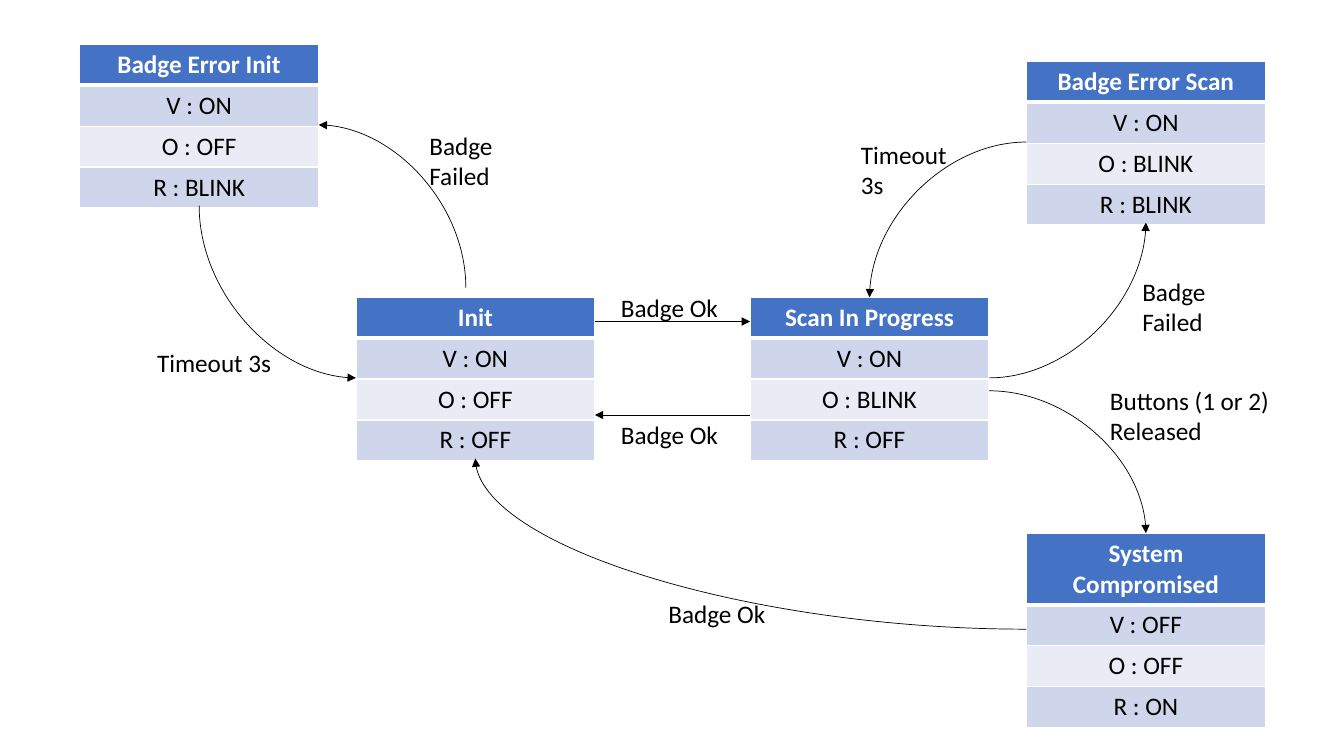
"""Build a slide with the state diagram of a badge-controlled system."""
from lxml import etree
from pptx import Presentation
from pptx.dml.color import RGBColor
from pptx.enum.shapes import MSO_CONNECTOR
from pptx.enum.text import MSO_ANCHOR, MSO_AUTO_SIZE, PP_ALIGN
from pptx.oxml.ns import qn
from pptx.util import Inches, Pt

STRAIGHT, CURVE = MSO_CONNECTOR.STRAIGHT, MSO_CONNECTOR.CURVE
CENTER, LEFT = PP_ALIGN.CENTER, PP_ALIGN.LEFT
TOP, FIT_SHAPE = MSO_ANCHOR.TOP, MSO_AUTO_SIZE.SHAPE_TO_FIT_TEXT
COLORS = {"header": "4472C4", "band": "CFD5EA", "light": "E9EBF5",
          "white": "FFFFFF", "black": "000000"}
STATE_WIDTH, ROW, TWO_LINES = 17.78, 5.33, 9.4
RIGHT_COLUMN, MIDDLE_TOP = 76.37, 39.33


class Diagram:
    """Style and current slide; lengths are percentages of the slide size."""

    def __init__(self, deck):
        self.deck = deck
        self.slide = deck.slides.add_slide(deck.slide_layouts[6])
        self.font, self.size = "Calibri", Pt(18)
        self.frames = {}

    def x(self, share):
        return round(self.deck.slide_width * share / 100)

    def y(self, share):
        return round(self.deck.slide_height * share / 100)

    def add_text(self, frame, text, color="black", align=LEFT, bold=False):
        paragraph = frame.paragraphs[0]
        paragraph.alignment = align
        run = paragraph.add_run()
        run.text = text
        run.font.name, run.font.size, run.font.bold = self.font, self.size, bold
        run.font.color.rgb = RGBColor.from_string(COLORS[color])

    def border(self, cell, side, width):
        properties = cell._tc.get_or_add_tcPr()
        edge = etree.SubElement(properties, qn(f"a:ln{side}"), w=str(Pt(width)))
        fill = etree.SubElement(edge, qn("a:solidFill"))
        etree.SubElement(fill, qn("a:srgbClr"), val=COLORS["white"])

    def state(self, title, left, top, lamps, header_height=ROW):
        heights = [self.y(header_height)] + [self.y(ROW)] * len(lamps)
        frame = self.x(left), self.y(top), self.x(STATE_WIDTH), sum(heights)
        self.frames[title] = frame
        table = self.slide.shapes.add_table(len(heights), 1, *frame).table
        table.horz_banding = False
        for index, text in enumerate([title, *lamps]):
            table.rows[index].height = heights[index]
            cell = table.cell(index, 0)
            header = index == 0
            widths = {"L": 1, "R": 1, "T": 3 if index == 1 else 1,
                      "B": 3 if header else 1}
            for side, width in widths.items():
                self.border(cell, side, width)
            cell.fill.solid()
            shade = "header" if header else ("light", "band")[index % 2]
            cell.fill.fore_color.rgb = RGBColor.from_string(COLORS[shade])
            self.add_text(cell.text_frame, text, "white" if header else "black",
                          CENTER, header)

    def anchor(self, title, across, down):
        left, top, width, height = self.frames[title]
        return left + width * across, top + height * down

    def transition(self, source, target, kind=CURVE, vertical_start=False):
        (x1, y1), (x2, y2) = self.anchor(*source), self.anchor(*target)
        if vertical_start:
            mid_x, mid_y = (x1 + x2) / 2, (y1 + y2) / 2
            half_x, half_y = (y1 - y2) / 2, (x2 - x1) / 2
            x1, x2 = mid_x - half_x, mid_x + half_x
            y1, y2 = mid_y - half_y, mid_y + half_y
        arrow = self.slide.shapes.add_connector(
            kind, *(round(value) for value in (x1, y1, x2, y2)))
        arrow.line.color.rgb = RGBColor.from_string(COLORS["black"])
        arrow.line.width = Pt(0.5)
        properties = arrow._element.spPr
        if kind == CURVE:
            properties.find(qn("a:prstGeom")).set("prst", "curvedConnector2")
        if vertical_start:
            properties.find(qn("a:xfrm")).set("rot", str(270 * 60000))
        etree.SubElement(properties.find(qn("a:ln")), qn("a:tailEnd"), type="triangle")
        etree.SubElement(properties, qn("a:effectLst"))

    def label(self, text, left, top, width, height=ROW):
        box = self.slide.shapes.add_textbox(
            self.x(left), self.y(top), self.x(width), self.y(height))
        frame = box.text_frame
        frame.word_wrap, frame.auto_size = True, FIT_SHAPE
        frame.vertical_anchor = TOP
        self.add_text(frame, text)


deck = Presentation()
deck.slide_width, deck.slide_height = Inches(13.33), Inches(7.5)
diagram = Diagram(deck)

INIT, SCAN = "Init", "Scan In Progress"
ERROR_INIT, ERROR_SCAN = "Badge Error Init", "Badge Error Scan"
COMPROMISED = "System Compromised"

diagram.state(INIT, 26.48, MIDDLE_TOP, ["V : ON", "O : OFF", "R : OFF"])
diagram.state(ERROR_INIT, 5.93, 5.87, ["V : ON", "O : OFF", "R : BLINK"])
diagram.state(SCAN, 55.81, MIDDLE_TOP, ["V : ON", "O : BLINK", "R : OFF"])
diagram.state(ERROR_SCAN, RIGHT_COLUMN, 8.13, ["V : ON", "O : BLINK", "R : BLINK"])
diagram.state(COMPROMISED, RIGHT_COLUMN, 70.53, ["V : OFF", "O : OFF", "R : ON"],
              TWO_LINES)

diagram.transition((INIT, 0.46, -0.06), (ERROR_INIT, 1, 0.5), vertical_start=True)
diagram.transition((ERROR_INIT, 0.5, 1), (INIT, 0, 0.5), vertical_start=True)
diagram.transition((INIT, 1, 0.15), (SCAN, 0, 0.15), STRAIGHT)
diagram.transition((SCAN, 0, 0.73), (INIT, 1, 0.73), STRAIGHT)
diagram.transition((SCAN, 1, 0.58), (COMPROMISED, 0.5, 0))
diagram.transition((COMPROMISED, 0, 0.5), (INIT, 0.5, 1))
diagram.transition((SCAN, 1, 0.5), (ERROR_SCAN, 0.5, 1))
diagram.transition((ERROR_SCAN, 0, 0.5), (SCAN, 0.5, 0))

diagram.label("Badge Failed", 31.21, 16.53, 8.33, TWO_LINES)
diagram.label("Timeout 3s", 10.95, 45.33, 10.2)
for left, top in [(45.46, 38), (45.46, 54.8), (48.99, 78.53)]:
    diagram.label("Badge Ok", left, top, 9.68)
diagram.label("Buttons (1 or 2) Released", 81.85, 50.27, 18.1, TWO_LINES)
diagram.label("Badge Failed", 84.25, 35.87, 9.68, TWO_LINES)
diagram.label("Timeout 3s", 63.32, 17.73, 9.45, TWO_LINES)

deck.save("out.pptx")
